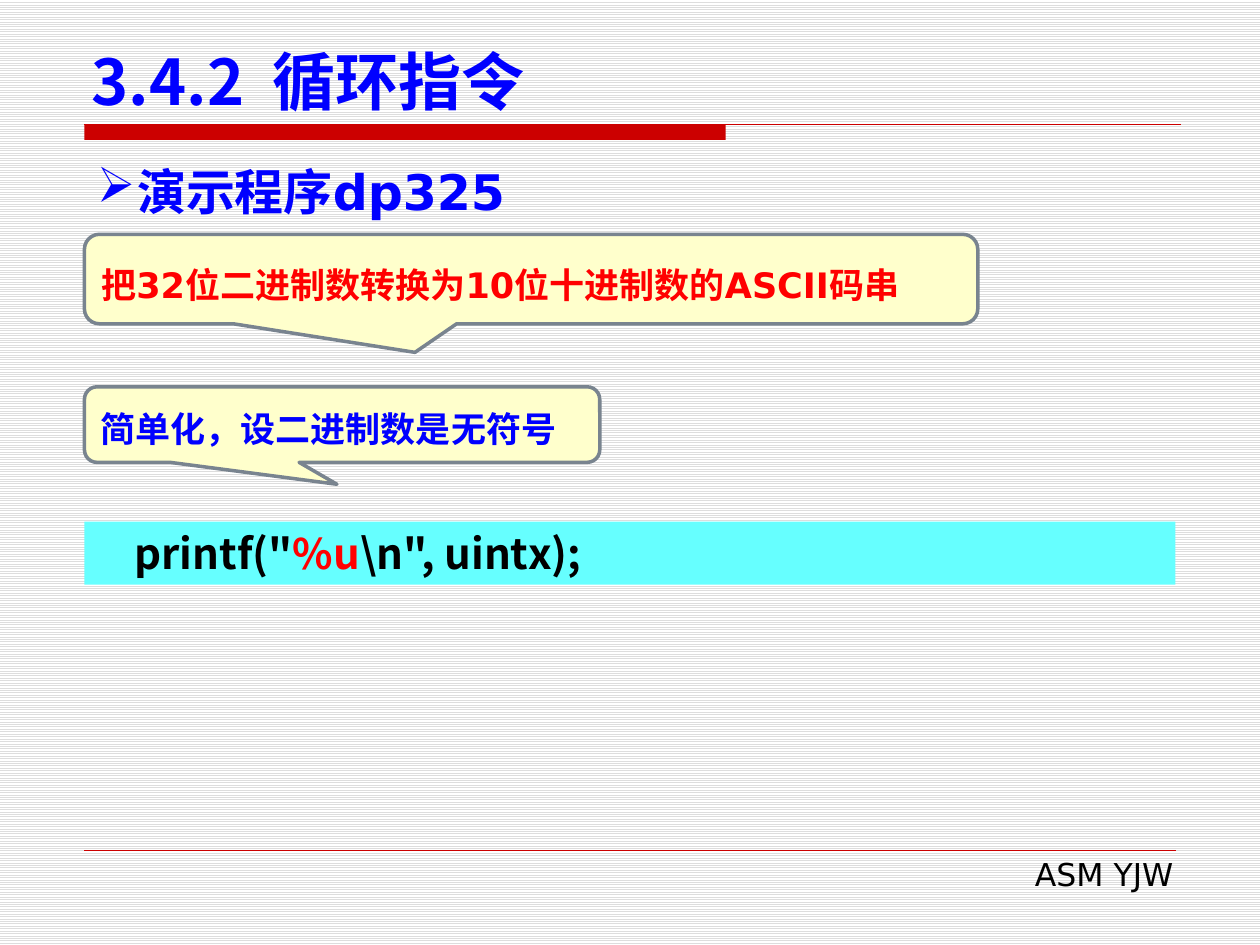
from dataclasses import dataclass

from lxml import etree
from pptx import Presentation
from pptx.dml.color import RGBColor
from pptx.enum.dml import MSO_PATTERN
from pptx.enum.shapes import MSO_CONNECTOR, MSO_SHAPE
from pptx.enum.text import MSO_ANCHOR, PP_ALIGN
from pptx.oxml.ns import qn
from pptx.util import Inches, Pt

STRIPES = MSO_PATTERN.LIGHT_HORIZONTAL
STRAIGHT = MSO_CONNECTOR.STRAIGHT
RECTANGLE = MSO_SHAPE.RECTANGLE
CALLOUT = MSO_SHAPE.ROUNDED_RECTANGULAR_CALLOUT
TOP, MIDDLE, BOTTOM = MSO_ANCHOR.TOP, MSO_ANCHOR.MIDDLE, MSO_ANCHOR.BOTTOM
LEFT, RIGHT = PP_ALIGN.LEFT, PP_ALIGN.RIGHT


@dataclass(frozen=True)
class Theme:
    blue: str = "0000FF"
    red: str = "FF0000"
    black: str = "000000"
    rule: str = "CC0000"
    note: str = "FFFFCC"
    note_edge: str = "79848F"
    code: str = "66FFFF"
    stripe: str = "DDDDDD"
    paper: str = "FFFFFF"
    sans: str = "DejaVu Sans"
    cjk: str = "Noto Sans CJK SC"
    title_size: int = 36
    topic_size: int = 28
    code_size: int = 24
    note_size: int = 20
    footer_size: int = 18


theme = Theme()


def rgb(value):
    return RGBColor.from_string(value)


def write(shape, *parts, size, font, bold=True, align=LEFT, anchor=TOP, spacing=None):
    """Fill a shape with one paragraph made of (text, colour) parts."""
    frame = shape.text_frame
    frame.word_wrap = True
    frame.vertical_anchor = anchor
    paragraph = frame.paragraphs[0]
    paragraph.alignment = align
    if spacing:
        paragraph.line_spacing = Pt(spacing)
    for text, color in parts:
        run = paragraph.add_run()
        run.text = text
        run.font.size = Pt(size)
        run.font.bold = bold
        run.font.name = font
        run.font.color.rgb = rgb(color)
        east_asian = etree.SubElement(run.font._element, qn("a:ea"))
        east_asian.set("typeface", theme.cjk)
    return paragraph


prs = Presentation()
prs.slide_width, prs.slide_height = Inches(10), Inches(7.5)
slide = prs.slides.add_slide(prs.slide_layouts[6])
shapes = slide.shapes
margin = Inches(0.67)
content_width = Inches(8.66)

# Striped background
background = slide.background.fill
background.patterned()
background.pattern = STRIPES
background.fore_color.rgb = rgb(theme.stripe)
background.back_color.rgb = rgb(theme.paper)

# Bar under the title
bar = shapes.add_shape(RECTANGLE, margin, Inches(0.99), Inches(5.09), Inches(0.12))
bar.shadow.inherit = False
bar.fill.solid()
bar.fill.fore_color.rgb = rgb(theme.rule)
bar.line.fill.background()

# Thin rules under the title and above the footer
for y, right, weight in [(0.99, 9.37, 0.75), (6.75, 9.33, 0.25)]:
    rule = shapes.add_connector(STRAIGHT, margin, Inches(y), Inches(right), Inches(y))
    rule.line.color.rgb = rgb(theme.rule)
    rule.line.width = Pt(weight)
    etree.SubElement(rule._element.spPr, qn("a:effectLst"))

# Footer
footer = shapes.add_textbox(Inches(3.82), Inches(6.74), Inches(5.59), Inches(0.4))
write(footer, ("ASM YJW", theme.black), size=theme.footer_size, font=theme.sans,
      bold=False, align=RIGHT)

# Title
title = shapes.add_textbox(Inches(0.63), Inches(0.33), Inches(8.75), Inches(0.66))
write(title, ("3.4.2  循环指令", theme.blue), size=theme.title_size, font=theme.cjk,
      anchor=BOTTOM)

# Topic with an arrow bullet
topic = shapes.add_textbox(margin, Inches(1.23), content_width, Inches(0.57))
topic_line = write(topic, ("演示程序dp325", theme.blue), size=theme.topic_size,
                   font=theme.sans)
topic_format = topic_line._p.get_or_add_pPr()
topic_format.set("marL", str(Inches(0.32)))
topic_format.set("indent", str(-Inches(0.32)))
etree.SubElement(topic_format, qn("a:buChar")).set("char", "➢")

# Callouts: text, colour, font, top, width, height, line spacing, pointer tip
callouts = [
    ("把32位二进制数转换为10位十进制数的ASCII码串", theme.red, theme.sans,
     1.86, 7.09, 0.71, 30, (-0.13, 0.82)),
    ("简单化，设二进制数是无符号", theme.blue, theme.cjk,
     3.07, 4.09, 0.6, 29, (-0.01, 0.79)),
]
for text, color, font, top, width, height, spacing, tip in callouts:
    callout = shapes.add_shape(CALLOUT, margin, Inches(top), Inches(width), Inches(height))
    callout.shadow.inherit = False
    callout.adjustments[0], callout.adjustments[1] = tip
    callout.fill.solid()
    callout.fill.fore_color.rgb = rgb(theme.note)
    callout.line.color.rgb = rgb(theme.note_edge)
    callout.line.width = Pt(2)
    write(callout, (text, color), size=theme.note_size, font=font,
          anchor=MIDDLE, spacing=spacing)

# Code line
code = shapes.add_shape(RECTANGLE, margin, Inches(4.14), content_width, Inches(0.5))
code.shadow.inherit = False
code.fill.solid()
code.fill.fore_color.rgb = rgb(theme.code)
code.line.fill.background()
code_line = write(code, ('printf("', theme.black), ("%u", theme.red),
                  ('\\n", uintx);', theme.black),
                  size=theme.code_size, font=theme.cjk, anchor=MIDDLE)
code_line._p.get_or_add_pPr().set("marL", str(Inches(0.3)))

prs.save("out.pptx")
